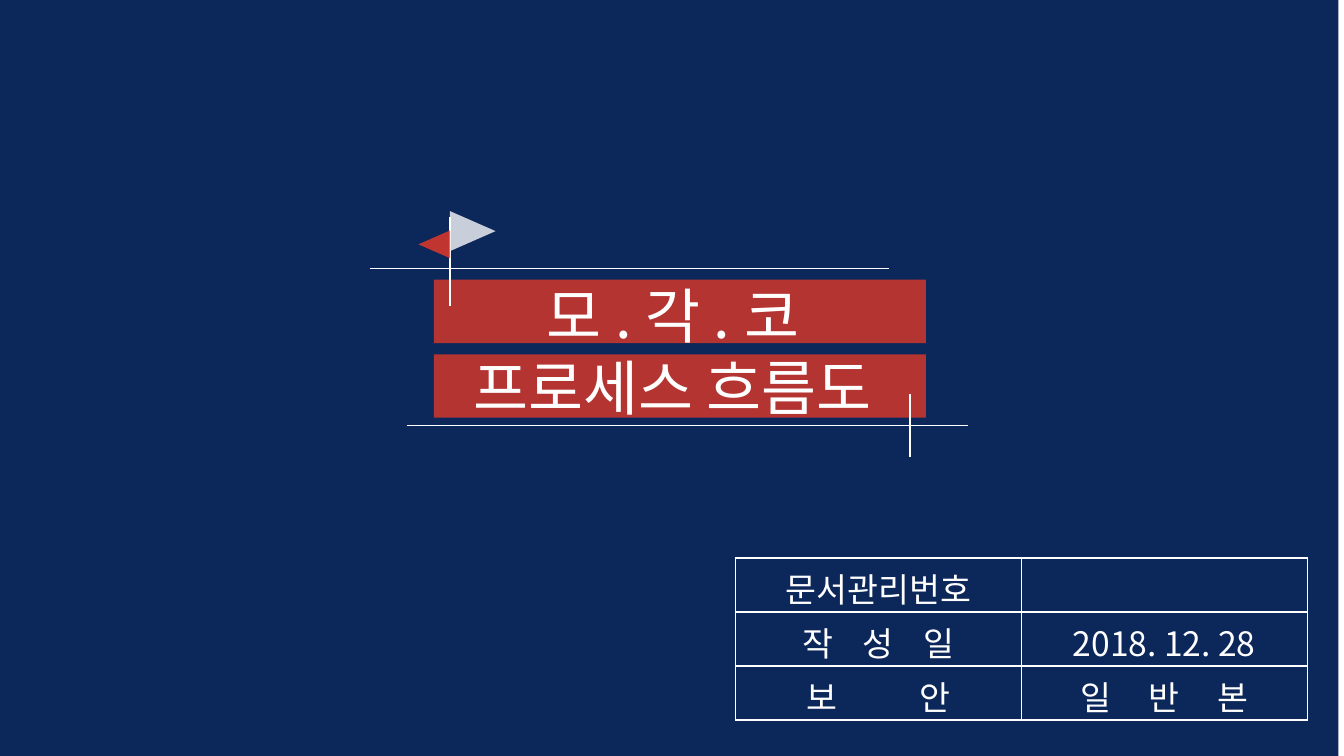
from dataclasses import dataclass

from lxml import etree
from pptx import Presentation
from pptx.dml.color import RGBColor
from pptx.enum.shapes import MSO_CONNECTOR, MSO_SHAPE
from pptx.enum.text import MSO_ANCHOR, MSO_AUTO_SIZE, PP_ALIGN
from pptx.oxml.ns import qn
from pptx.util import Pt

RECTANGLE = MSO_SHAPE.RECTANGLE
TRIANGLE = MSO_SHAPE.ISOSCELES_TRIANGLE
STRAIGHT = MSO_CONNECTOR.STRAIGHT
CENTER = PP_ALIGN.CENTER
TOP, MIDDLE = MSO_ANCHOR.TOP, MSO_ANCHOR.MIDDLE
NO_AUTOFIT = MSO_AUTO_SIZE.NONE


@dataclass(frozen=True)
class Theme:
    navy: str = "0C2759"
    red: str = "F33A24"
    white: str = "FFFFFF"
    font: str = "Noto Sans CJK KR"
    title_size: float = 32
    table_size: float = 18
    line_width: float = 0.75
    border_width: float = 1


def sub(parent, tag, **attributes):
    return etree.SubElement(parent, qn(tag), attributes)


def write(paragraph, text, *, font, size, color, tracking=0, line_spacing=None):
    """Write centred text; tracking is the gap in points after each letter but the last."""
    paragraph.alignment = CENTER
    if line_spacing:
        paragraph.line_spacing = Pt(line_spacing)
    parts = [(text[:-1], tracking), (text[-1:], 0)] if tracking else [(text, 0)]
    for part, gap in parts:
        run = paragraph.add_run()
        run.text = part
        run.font.name = font
        run.font.size = Pt(size)
        run.font.color.rgb = RGBColor.from_string(color)
        properties = run.font._element
        if gap:
            properties.set("spc", str(round(gap * 100)))
        sub(properties, "a:ea", typeface=font)


class Canvas:
    def __init__(self, slide, theme):
        self.slide = slide
        self.theme = theme

    def shape(self, kind, left, top, width, height, color, opacity=100, rotation=0):
        shape = self.slide.shapes.add_shape(kind, Pt(left), Pt(top), Pt(width), Pt(height))
        shape.shadow.inherit = False
        shape.rotation = rotation
        shape.line.fill.background()
        shape.fill.solid()
        shape.fill.fore_color.rgb = RGBColor.from_string(color)
        if opacity < 100:
            fill_color = shape._element.spPr.find(qn("a:solidFill"))[0]
            sub(fill_color, "a:alpha", val=str(opacity * 1000))

    def line(self, x1, y1, x2, y2):
        line = self.slide.shapes.add_connector(STRAIGHT, Pt(x1), Pt(y1), Pt(x2), Pt(y2))
        line.line.color.rgb = RGBColor.from_string(self.theme.white)
        line.line.width = Pt(self.theme.line_width)
        sub(line._element.spPr, "a:effectLst")

    def title(self, left, top, width, height, lines):
        box = self.slide.shapes.add_textbox(Pt(left), Pt(top), Pt(width), Pt(height))
        frame = box.text_frame
        frame.word_wrap = True
        frame.auto_size = NO_AUTOFIT
        frame.vertical_anchor = TOP
        frame.margin_top = Pt(6)
        frame.margin_bottom = 0
        for index, (text, tracking) in enumerate(lines):
            paragraph = frame.add_paragraph() if index else frame.paragraphs[0]
            write(paragraph, text, font=self.theme.font, size=self.theme.title_size,
                  color=self.theme.white, tracking=tracking, line_spacing=38.5)

    def border(self, cell):
        properties = cell._tc.get_or_add_tcPr()
        for side in ("a:lnL", "a:lnR", "a:lnT", "a:lnB"):
            edge = sub(properties, side, w=str(Pt(self.theme.border_width)))
            sub(sub(edge, "a:solidFill"), "a:srgbClr", val=self.theme.white)

    def table(self, left, top, width, height, rows):
        columns = len(rows[0])
        table = self.slide.shapes.add_table(
            len(rows), columns, Pt(left), Pt(top), Pt(width), Pt(height)).table
        table.first_row = table.horz_banding = False
        for row, entries in zip(table.rows, rows):
            row.height = Pt(height / len(rows))
            for cell, (text, tracking) in zip(row.cells, entries):
                cell.margin_top, cell.margin_bottom = Pt(2.8), 0
                cell.vertical_anchor = MIDDLE
                self.border(cell)
                cell.fill.solid()
                cell.fill.fore_color.rgb = RGBColor.from_string(self.theme.navy)
                if text:
                    write(cell.text_frame.paragraphs[0], text, font=self.theme.font,
                          size=self.theme.table_size, color=self.theme.white,
                          tracking=tracking)


def main():
    theme = Theme()
    presentation = Presentation()
    presentation.slide_width, presentation.slide_height = Pt(720), Pt(405)
    slide = presentation.slides.add_slide(presentation.slide_layouts[6])
    canvas = Canvas(slide, theme)

    canvas.shape(RECTANGLE, -3, 0, 720, 405, theme.navy)
    for band_top in (149.8, 189.8):
        canvas.shape(RECTANGLE, 232.5, band_top, 263.5, 34, theme.red, opacity=73)

    canvas.line(198, 144, 476, 144)
    canvas.line(218, 228, 518.5, 228)
    canvas.line(487.6, 211, 487.6, 245)
    canvas.line(241, 116, 241, 164)

    canvas.shape(TRIANGLE, 242.5, 111.6, 21.5, 24.5, theme.white, opacity=78, rotation=90)
    canvas.shape(TRIANGLE, 225.2, 122.4, 15, 17, theme.red, opacity=78, rotation=270)

    canvas.title(167.8, 143.3, 385.2, 85, [("모.각.코", 7.3), ("프로세스 흐름도", 0)])

    canvas.table(394, 298.9, 306.4, 86.8, [
        [("문서관리번호", 0), ("", 0)],
        [("작 성 일", 6), ("2018. 12. 28", 0)],
        [("보 안", 20), ("일 반 본", 8)],
    ])

    presentation.save("out.pptx")


if __name__ == "__main__":
    main()
